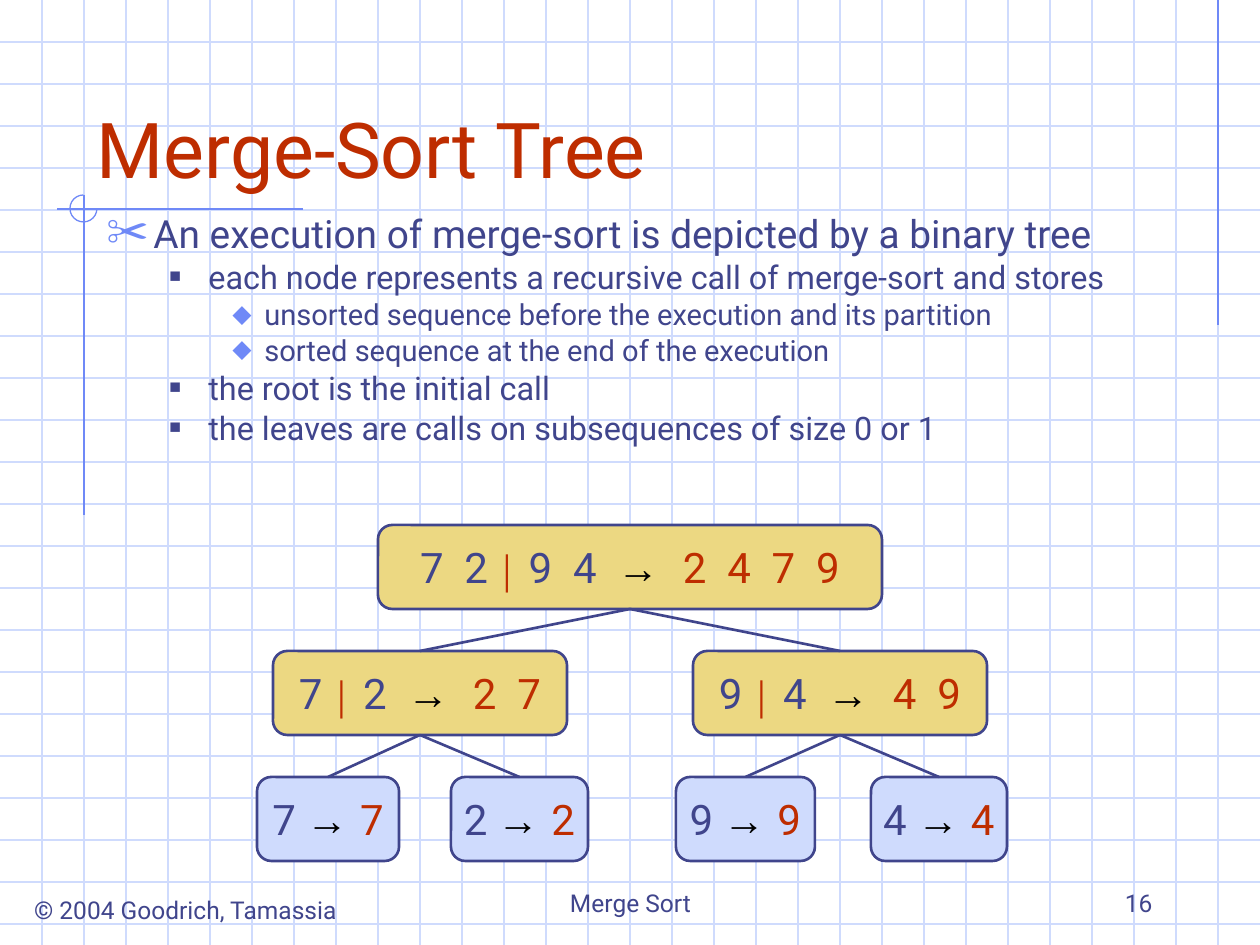
import pptx
import pptx.dml.color
import pptx.enum.shapes
import pptx.enum.text
import pptx.oxml.ns
import pptx.util
from lxml import etree

EMU_PER_PX = 914400 / 126
WIDTH, HEIGHT = 1260, 945
GRID_STEP = 42
NODE_HEIGHT = 84
LEVEL_TOPS = [525, 651, 777]

COLORS = {
    "ink": "40458C",
    "red": "BE2D00",
    "black": "000000",
    "accent": "6F89F7",
    "pale": "CFDBFD",
    "gold": "ECD882",
}

ALIGN = pptx.enum.text.PP_ALIGN
ANCHOR = pptx.enum.text.MSO_ANCHOR
SHAPE = pptx.enum.shapes.MSO_SHAPE

# Per outline level: size, space before, left margin px, hanging px,
# bullet, bullet colour, bullet percent
LEVELS = [
    (22.2, 6, 47, 47, "✂", "accent", 110),
    (18.5, 5, 102, 39, "■", "ink", 60),
    (16.6, 4.5, 158, 32, "⬥", "accent", 95),
]

OUTLINE = [
    (0, "An execution of merge-sort is depicted by a binary tree"),
    (1, "each node represents a recursive call of merge-sort and stores"),
    (2, "unsorted sequence before the execution and its partition"),
    (2, "sorted sequence at the end of the execution"),
    (1, "the root is the initial call"),
    (1, "the leaves are calls on subsequences of size 0 or 1"),
]

# Each call: left, width, parts of the input, sorted output, child calls
CALL_TREE = (378, 504, ["7  2", "9  4"], "2  4  7  9", [
    (273, 294, ["7", "2"], "2  7", [
        (257, 142, ["7"], "7", []),
        (451, 137, ["2"], "2", []),
    ]),
    (693, 294, ["9", "4"], "4  9", [
        (676, 139, ["9"], "9", []),
        (871, 136, ["4"], "4", []),
    ]),
])


def px(*lengths):
    """Turn pixel lengths into EMU."""
    return [pptx.util.Emu(round(length * EMU_PER_PX)) for length in lengths]


def color(name):
    return pptx.dml.color.RGBColor.from_string(COLORS[name])


class Deck:
    """Holds the style and the current slide."""

    font = "Roboto"
    symbol_font = "Arial"

    def __init__(self):
        self.presentation = pptx.Presentation()
        size = px(WIDTH, HEIGHT)
        self.presentation.slide_width, self.presentation.slide_height = size
        layout = self.presentation.slide_layouts[5]
        self.slide = self.presentation.slides.add_slide(layout)
        self.shapes = self.slide.shapes

    def run(self, paragraph, text, size, ink="ink", font=None, bold=False):
        run = paragraph.add_run()
        run.text = text
        run.font.size = pptx.util.Pt(size)
        run.font.name = font or self.font
        run.font.bold = bold
        run.font.color.rgb = color(ink)

    def line(self, start, end, ink, weight=0.75, shapes=None):
        connector = (shapes or self.shapes).add_connector(
            pptx.enum.shapes.MSO_CONNECTOR.STRAIGHT, *px(*start, *end))
        connector.line.color.rgb = color(ink)
        connector.line.width = pptx.util.Pt(weight)
        etree.SubElement(connector.element.spPr, pptx.oxml.ns.qn("a:effectLst"))
        return connector

    def grid(self):
        lines = self.shapes.add_group_shape().shapes
        for y in range(GRID_STEP, HEIGHT, GRID_STEP):
            self.line((0, y), (WIDTH, y), "pale", shapes=lines)
        for x in range(GRID_STEP, WIDTH, GRID_STEP):
            self.line((x, 0), (x, HEIGHT), "pale", shapes=lines)

    def arc(self, left, top, size):
        """Three quarters of a circle, open at the upper right."""
        arc = self.shapes.add_shape(SHAPE.ARC, *px(left, top, size, size))
        arc.shadow.inherit = False
        arc.adjustments[0] = 0
        arc.adjustments[1] = 162
        arc.fill.background()
        arc.line.color.rgb = color("accent")
        arc.line.width = pptx.util.Pt(0.75)

    def title(self, text, left, top, width, height):
        title = self.shapes.title
        title.left, title.top, title.width, title.height = px(left, top, width, height)
        title.element.getparent().append(title.element)  # in front of the grid
        frame = title.text_frame
        frame.auto_size = pptx.enum.text.MSO_AUTO_SIZE.NONE
        frame.vertical_anchor = ANCHOR.BOTTOM
        heading = frame.paragraphs[0]
        heading.alignment = ALIGN.LEFT
        self.run(heading, text, 44, "red")

    def text_box(self, left, top, width, height, wrap=True):
        frame = self.shapes.add_textbox(*px(left, top, width, height)).text_frame
        frame.word_wrap = wrap
        return frame

    def footer(self, text, box, align, anchor=ANCHOR.BOTTOM, wrap=True):
        frame = self.text_box(*box, wrap=wrap)
        frame.vertical_anchor = anchor
        frame.paragraphs[0].alignment = align
        self.run(frame.paragraphs[0], text, 14)

    def bullet(self, paragraph, margin, hanging, char, ink, percent):
        properties = paragraph._p.get_or_add_pPr()
        margin_emu, hanging_emu = px(margin, hanging)
        properties.set("marL", str(margin_emu))
        properties.set("indent", str(-hanging_emu))
        qn = pptx.oxml.ns.qn
        fill = etree.SubElement(properties, qn("a:buClr"))
        etree.SubElement(fill, qn("a:srgbClr"), val=COLORS[ink])
        etree.SubElement(properties, qn("a:buSzPct"), val=str(percent * 1000))
        etree.SubElement(properties, qn("a:buFont"), typeface=self.symbol_font)
        etree.SubElement(properties, qn("a:buChar"), char=char)

    def outline(self, items, box):
        frame = self.text_box(*box)
        for index, (level, text) in enumerate(items):
            size, before, *bullet_style = LEVELS[level]
            item = frame.add_paragraph() if index else frame.paragraphs[0]
            item.level = level
            self.bullet(item, *bullet_style)
            item.line_spacing = 0.8
            item.space_before = pptx.util.Pt(before if index else 0)
            self.run(item, text, size)

    def node(self, left, top, width, parts, result):
        is_leaf = len(parts) == 1
        node = self.shapes.add_shape(
            SHAPE.ROUNDED_RECTANGLE, *px(left, top, width, NODE_HEIGHT))
        node.shadow.inherit = False
        node.adjustments[0] = 0.17
        node.fill.solid()
        node.fill.fore_color.rgb = color("pale" if is_leaf else "gold")
        node.line.color.rgb = color("ink")
        node.line.width = pptx.util.Pt(1.5)
        frame = node.text_frame
        frame.word_wrap = False
        frame.vertical_anchor = ANCHOR.MIDDLE
        label = frame.paragraphs[0]
        label.alignment = ALIGN.CENTER
        gap = " " if is_leaf else "  "
        if is_leaf:
            self.run(label, parts[0] + gap, 24)
        else:
            self.run(label, parts[0] + " ", 24)
            self.run(label, "│", 18, "red", self.symbol_font, True)
            self.run(label, " " + parts[1] + gap, 24)
        self.run(label, "→" + gap, 24, "black", self.symbol_font, True)
        self.run(label, result, 24, "red")
        return node

    def tree(self, call, depth=0):
        """Draw a call and its subtree, and return the call's node."""
        left, width, parts, result, children = call
        parent = self.node(left, LEVEL_TOPS[depth], width, parts, result)
        for child_call in children:
            child = self.tree(child_call, depth + 1)
            edge = self.line((0, 0), (1, 1), "ink", 1.5)
            edge.begin_connect(parent, 2)
            edge.end_connect(child, 0)
        return parent


def main():
    deck = Deck()
    deck.grid()
    deck.line((1218, 0), (1218, 325), "accent")
    deck.line((303, 209), (57, 209), "accent")
    deck.line((84, 195), (84, 515), "accent")
    deck.arc(70, 195, 27)
    deck.footer("© 2004 Goodrich, Tamassia", (15, 889, 341, 43), ALIGN.CENTER,
                ANCHOR.TOP, wrap=False)
    deck.footer("Merge Sort", (431, 861, 399, 63), ALIGN.CENTER)
    deck.footer("16", (903, 861, 262, 63), ALIGN.RIGHT)
    deck.title("Merge-Sort Tree", 84, 42, 1071, 158)
    deck.outline(OUTLINE, (94, 212, 1113, 304))
    deck.tree(CALL_TREE)
    deck.presentation.save("out.pptx")


if __name__ == "__main__":
    main()
